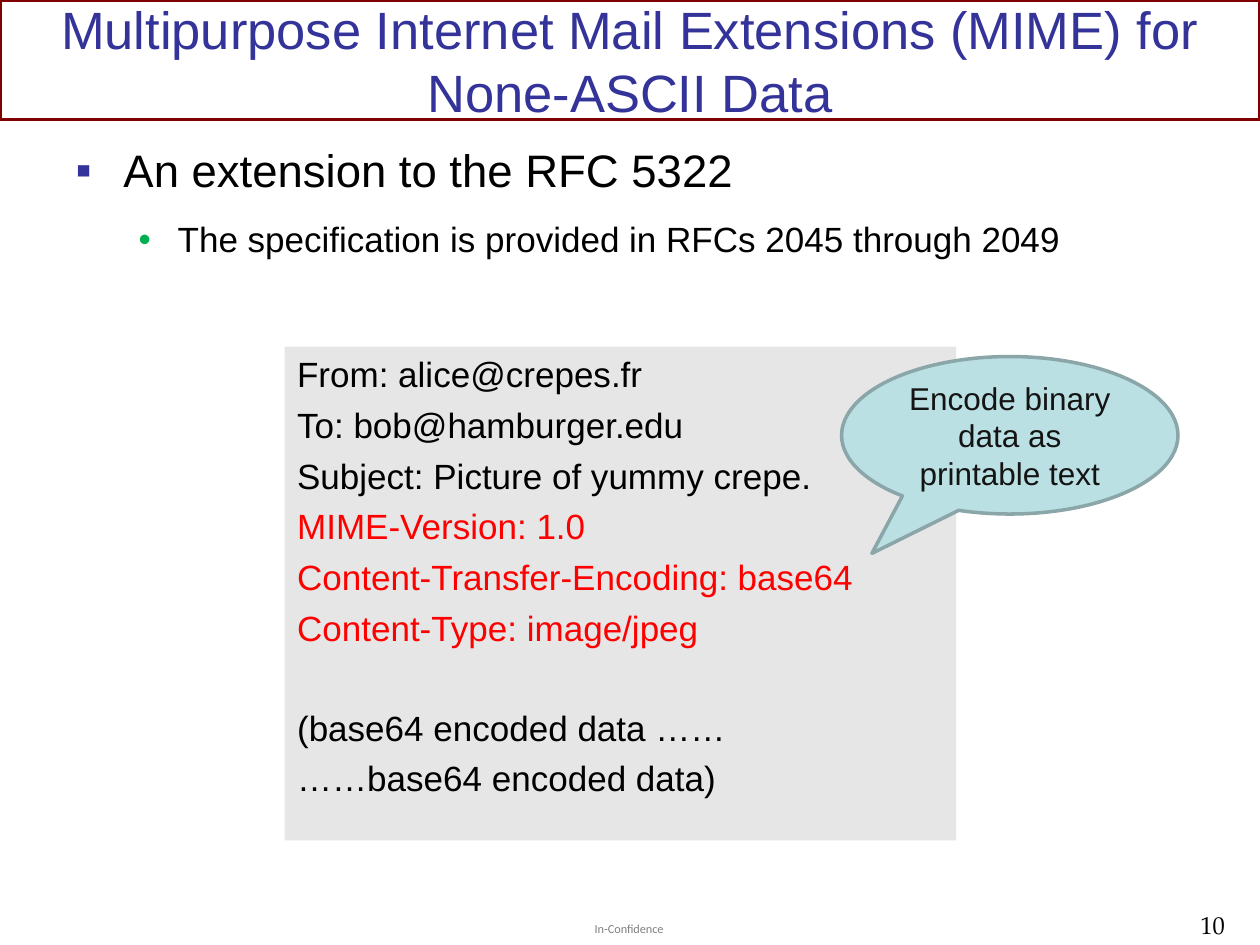
from lxml import etree
from pptx import Presentation
from pptx.dml.color import RGBColor
from pptx.enum.shapes import MSO_SHAPE
from pptx.enum.text import MSO_ANCHOR, MSO_AUTO_SIZE, PP_ALIGN
from pptx.oxml.ns import qn
from pptx.util import Inches, Pt

RECTANGLE, CALLOUT = MSO_SHAPE.RECTANGLE, MSO_SHAPE.OVAL_CALLOUT
TOP, MIDDLE = MSO_ANCHOR.TOP, MSO_ANCHOR.MIDDLE
LEFT, CENTER, RIGHT = PP_ALIGN.LEFT, PP_ALIGN.CENTER, PP_ALIGN.RIGHT
NO_AUTOFIT = MSO_AUTO_SIZE.NONE

COLORS = {
    "navy": "333399", "maroon": "800000", "black": "000000", "gray": "808080",
    "green": "00B050", "red": "FF0000", "panel": "E6E6E6", "bubble": "BBE0E3",
    "bubble_edge": "8AA6A8", "ink": "141414",
}


class Page:
    """Holds the style and the current slide, and draws each kind of element."""

    def __init__(self, deck):
        self.slide = deck.slides.add_slide(deck.slide_layouts[1])
        self.font = "Arial"

    def color(self, name):
        return RGBColor.from_string(COLORS[name])

    def place(self, shape, bounds):
        shape.left, shape.top, shape.width, shape.height = map(Inches, bounds)

    def frame(self, shape, anchor=TOP, margins=(0.1, 0.05)):
        frame = shape.text_frame
        frame.word_wrap = True
        frame.auto_size = NO_AUTOFIT
        frame.vertical_anchor = anchor
        frame.margin_left = frame.margin_right = Inches(margins[0])
        frame.margin_top = frame.margin_bottom = Inches(margins[1])
        return frame

    def set_text(self, para, text, size, color="black", align=LEFT, font=None):
        para.text = text
        para.alignment = align
        para.font.name = font or self.font
        para.font.size = Pt(size)
        para.font.color.rgb = self.color(color)

    def title(self, text, bounds):
        shape = self.slide.shapes.title
        self.place(shape, bounds)
        para = self.frame(shape, MIDDLE).paragraphs[0]
        self.set_text(para, text, 30, "navy", CENTER)

    def bullet(self, para, mark, color, margin, indent):
        properties = para._p.get_or_add_pPr()
        properties.set("marL", str(Inches(margin)))
        properties.set("indent", str(Inches(-indent)))
        fill = etree.SubElement(properties, qn("a:buClr"))
        etree.SubElement(fill, qn("a:srgbClr"), val=COLORS[color])
        etree.SubElement(properties, qn("a:buFont"), typeface=self.font)
        etree.SubElement(properties, qn("a:buChar"), char=mark)

    def bullets(self, items, bounds):
        shape = self.slide.placeholders[1]
        self.place(shape, bounds)
        frame = self.frame(shape)
        for level, (text, size, *style) in enumerate(items):
            para = frame.add_paragraph() if level else frame.paragraphs[0]
            para.level = level
            para.space_before = Pt(6 if level else 0)
            para.space_after = Pt(6)
            self.bullet(para, *style)
            self.set_text(para, text, size)

    def label(self, text, bounds, size, color, align, font, margins=(0.1, 0.05)):
        box = self.slide.shapes.add_textbox(*map(Inches, bounds))
        para = self.frame(box, margins=margins).paragraphs[0]
        self.set_text(para, text, size, color, align, font)

    def shape(self, kind, bounds, fill=None, line=None):
        shape = self.slide.shapes.add_shape(kind, *map(Inches, bounds))
        shape.shadow.inherit = False
        if fill:
            shape.fill.solid()
            shape.fill.fore_color.rgb = self.color(fill)
        else:
            shape.fill.background()
        if line:
            shape.line.color.rgb = self.color(line)
            shape.line.width = Pt(2)
        else:
            shape.line.fill.background()
        return shape

    def message(self, lines, bounds):
        frame = self.frame(self.shape(RECTANGLE, bounds, "panel"))
        for index, (text, color, gap) in enumerate(lines):
            para = frame.add_paragraph() if index else frame.paragraphs[0]
            para.space_before = Pt(gap)
            self.set_text(para, text, 20, color)

    def callout(self, text, bounds, tip):
        shape = self.shape(CALLOUT, bounds, "bubble", "bubble_edge")
        for index, value in enumerate(tip):
            shape.adjustments[index] = value
        para = self.frame(shape, MIDDLE).paragraphs[0]
        self.set_text(para, text, 18, "ink", CENTER)


def main():
    deck = Presentation()
    deck.slide_width, deck.slide_height = Inches(10), Inches(7.5)
    page = Page(deck)
    page.shape(RECTANGLE, (0, 0, 10, 0.95), line="maroon")
    page.title("Multipurpose Internet Mail Extensions (MIME) for None-ASCII Data",
               (0, 0.08, 10, 0.79))
    page.bullets([
        ("An extension to the RFC 5322", 26, "▪", "navy", 0.38, 0.38),
        ("The specification is provided in RFCs 2045 through 2049", 20,
         "•", "green", 0.81, 0.31),
    ], (0.5, 1.08, 9, 2.33))
    page.message([
        ("From: alice@crepes.fr", "black", 0),
        ("To: bob@hamburger.edu", "black", 5),
        ("Subject: Picture of yummy crepe.", "black", 5),
        ("MIME-Version: 1.0", "red", 5),
        ("Content-Transfer-Encoding: base64", "red", 5),
        ("Content-Type: image/jpeg", "red", 5),
        ("(base64 encoded data ……", "black", 33),
        ("……base64 encoded data)", "black", 5),
    ], (2.26, 2.75, 5.33, 3.92))
    page.callout("Encode binary data as printable text",
                 (6.68, 2.83, 2.67, 1.25), (-0.41, 0.75))
    page.label("In-Confidence", (4.72, 7.31, 0.57, 0.12), 7, "gray", LEFT,
               "Calibri", (0, 0))
    page.label("10", (7.62, 7.17, 2.2, 0.3), 14, "black", RIGHT, "TeX Gyre Pagella")
    deck.save("out.pptx")


if __name__ == "__main__":
    main()
